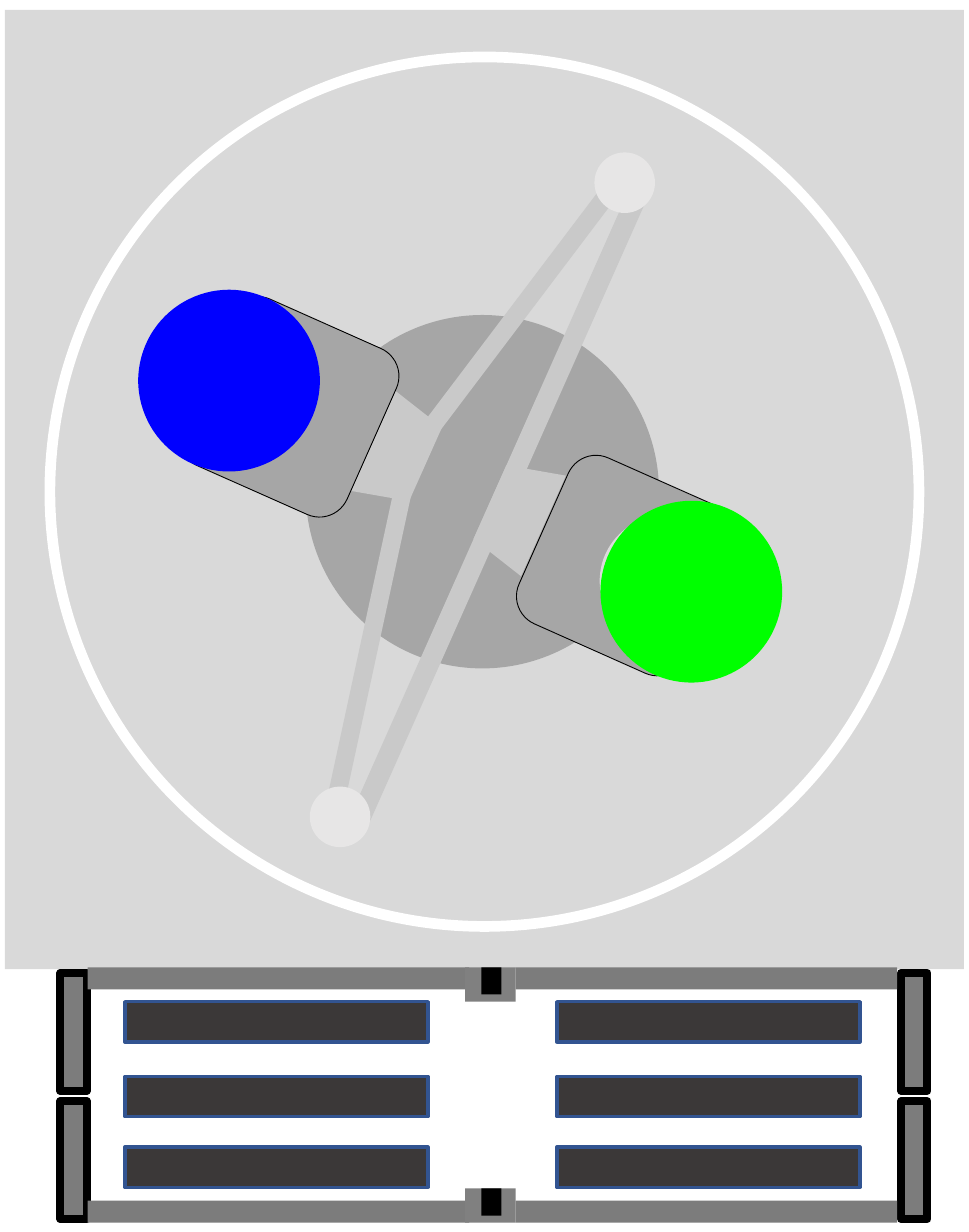
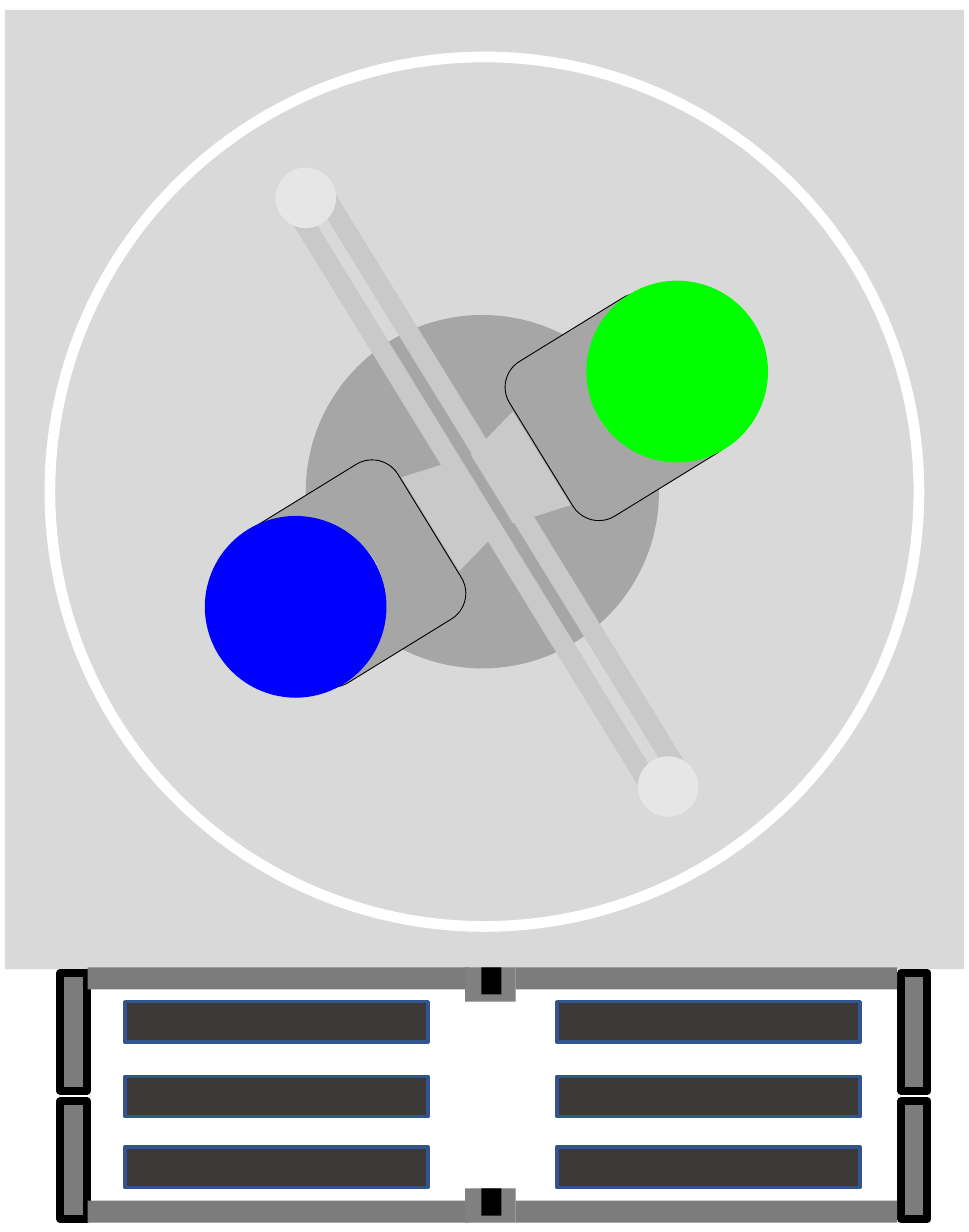
import pptx
import pptx.util
import pptx.dml.color
import pptx.enum.shapes

Cm = pptx.util.Cm
Pt = pptx.util.Pt
RGBColor = pptx.dml.color.RGBColor
MSO_SHAPE = pptx.enum.shapes.MSO_SHAPE

WHITE = RGBColor(0xFF, 0xFF, 0xFF)
BLACK = RGBColor(0x00, 0x00, 0x00)
FLOOR = RGBColor(0xD9, 0xD9, 0xD9)
HUB = RGBColor(0xA6, 0xA6, 0xA6)
ARM = RGBColor(0xC9, 0xC9, 0xC9)
TIP = RGBColor(0xE7, 0xE6, 0xE6)
CUP = RGBColor(0xDB, 0xDB, 0xDB)
FRAME = RGBColor(0x7C, 0x7C, 0x7C)
SOCKET = RGBColor(0x80, 0x80, 0x80)
SLAT = RGBColor(0x3B, 0x38, 0x38)
SLAT_EDGE = RGBColor(0x32, 0x54, 0x91)
BLUE = RGBColor(0x00, 0x00, 0xFF)
GREEN = RGBColor(0x00, 0xFF, 0x00)

RECT = MSO_SHAPE.RECTANGLE
OVAL = MSO_SHAPE.OVAL


class Machine:
    def __init__(self, prs):
        self.prs = prs

    def new_slide(self):
        self.s = self.prs.slides.add_slide(self.prs.slide_layouts[6])

    def group(self):
        self.shapes = self.s.shapes.add_group_shape().shapes

    def shape(self, kind, x, y, w, h, fill=None, line=None, weight=1, angle=0):
        sp = self.shapes.add_shape(kind, Cm(x - w / 2), Cm(y - h / 2), Cm(w), Cm(h))
        sp.shadow.inherit = False
        sp.rotation = angle % 360
        if fill is None:
            sp.fill.background()
        else:
            sp.fill.solid()
            sp.fill.fore_color.rgb = fill
        if line is None:
            sp.line.fill.background()
        else:
            sp.line.color.rgb = line
            sp.line.width = Pt(weight)

    def disc(self, x, y, d, fill=None, line=None, weight=1):
        self.shape(OVAL, x, y, d, d, fill, line, weight)

    def turntable(self):
        self.group()
        self.shape(RECT, 4.8, 4.85, 9.5, 9.5, FLOOR)
        self.disc(4.8, 4.87, 8.61, line=WHITE, weight=3)
        self.disc(4.78, 4.87, 3.5, HUB)

    def rack(self):
        self.group()
        for x in (0.73, 9.06):
            for y in (10.22, 11.49):
                self.shape(RECT, x, y, 0.26, 1.17, FRAME, BLACK, 2.25)
        for top in (9.58, 11.77):
            rail_y = 9.69 if top < 10 else 12
            for x in (2.76, 7):
                self.shape(RECT, x, rail_y, 3.78, 0.22, FRAME)
            self.shape(RECT, 4.86, top + 0.17, 0.5, 0.34, SOCKET)
            self.shape(RECT, 4.87, top + 0.135, 0.2, 0.27, BLACK)
        for x in (2.74, 7.02):
            for y in (10.12, 10.86, 11.56):
                self.shape(RECT, x, y, 3, 0.4, SLAT, SLAT_EDGE)

    def robot(self, bars, tips, pods):
        self.group()
        for x, y, w, h, angle in bars:
            self.shape(RECT, x, y, w, h, ARM, angle=angle)
        for x, y in tips:
            self.disc(x, y, 0.6, TIP)
        for angle, wedge, clamp, cup, ball, color in pods:
            self.shape(MSO_SHAPE.TRAPEZOID, *wedge, 1.09, 0.58, ARM, angle=angle)
            self.shape(MSO_SHAPE.ROUNDED_RECTANGLE, *clamp, 1.8, 1.8, HUB,
                       BLACK, 0.25, angle)
            self.shape(OVAL, *cup, 1.78, 1.5, CUP, angle=angle - 90)
            self.disc(*ball, 1.8, color)


LONG = (0.2, 7.01)
SHORT = (0.18, 3.35)
POSES = [
    {
        "bars": [(4.95, 5, *LONG, 204), (5.19, 3.02, *SHORT, 217.1),
                 (3.64, 6.48, *SHORT, 192.2)],
        "tips": [(6.19, 1.81), (3.37, 8.09)],
        "pods": [
            (294, (5.12, 5.09), (6.21, 5.6), (6.81, 5.85), (6.85, 5.86), GREEN),
            (114, (3.95, 4.48), (2.86, 4.03), (2.26, 3.75), (2.27, 3.77), BLUE),
        ],
    },
    {
        "bars": [(4.7, 4.95, *LONG, 328.4), (4.98, 4.8, *LONG, 328.4)],
        "tips": [(3.03, 1.96), (6.62, 7.79)],
        "pods": [
            (58.4, (4.51, 5.04), (3.49, 5.68), (2.95, 6.01), (2.93, 6.01), BLUE),
            (238.4, (5.12, 4.69), (6.13, 4.03), (6.71, 3.7), (6.71, 3.68), GREEN),
        ],
    },
]


def main():
    prs = pptx.Presentation()
    prs.slide_width = Cm(9.6)
    prs.slide_height = Cm(12.2)
    machine = Machine(prs)
    for pose in POSES:
        machine.new_slide()
        machine.turntable()
        machine.rack()
        machine.robot(**pose)
    prs.save("out.pptx")


if __name__ == "__main__":
    main()
